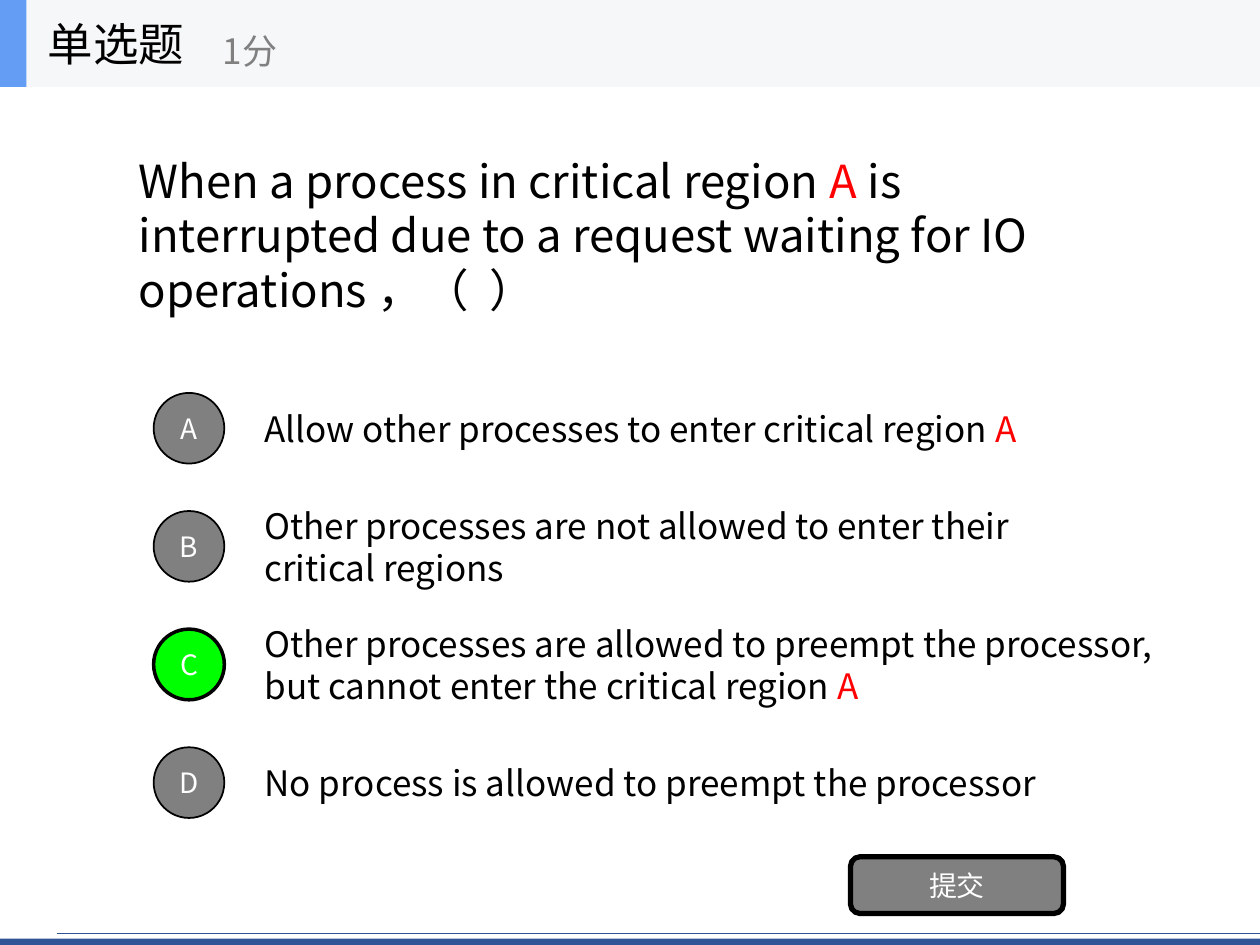
from lxml.etree import SubElement
from pptx import Presentation
from pptx.dml.color import RGBColor
from pptx.enum.shapes import MSO_CONNECTOR as LINE, MSO_SHAPE as SHAPE
from pptx.enum.text import MSO_ANCHOR as ANCHOR, MSO_AUTO_SIZE as FIT, PP_ALIGN as ALIGN
from pptx.oxml.ns import qn
from pptx.util import Pt

FONT = "Noto Sans CJK SC"
BLUE, GRAY, BLACK, RED, WHITE = "2F5597", "808080", "000000", "FF0000", "FFFFFF"


def color(target, value):
    """Colour a fill or a font."""
    if hasattr(target, "solid"):
        target.solid()
        target.fore_color.rgb = RGBColor.from_string(value)
    else:
        target.color.rgb = RGBColor.from_string(value)


def write(box, parts, size, align=ALIGN.LEFT, wrap=True):
    """Fill a box with one paragraph of (text, colour) parts."""
    frame = box.text_frame
    frame.auto_size = FIT.NONE
    frame.word_wrap = wrap
    frame.vertical_anchor = ANCHOR.MIDDLE
    para = frame.paragraphs[0]
    para.alignment = align
    for text, value in parts:
        span = para.add_run()
        span.text = text
        span.font.size = Pt(size)
        span.font.name = FONT
        color(span.font, value)
        SubElement(span.font._element, qn("a:ea"), typeface=FONT)


deck = Presentation()
deck.slide_width, deck.slide_height = Pt(720), Pt(540)
page = deck.slides.add_slide(deck.slide_layouts[5])
shapes = page.shapes

# Question
question = shapes.title
question.left, question.top, question.width, question.height = Pt(72), Pt(49.7), Pt(576), Pt(168.5)
write(question, [("When a process in critical region ", BLACK), ("A", RED),
                 (" is interrupted due to a request waiting for IO operations ，（  ）", BLACK)], 26)

# Frame lines and bands, then the header over them
for left, top in [(0, 8.6), (32.4, 533.5)]:
    rule = shapes.add_connector(LINE.STRAIGHT, Pt(left), Pt(top), Pt(720), Pt(top))
    rule.line.width = Pt(0.5)
    color(rule.line, BLUE)
    SubElement(rule._element.spPr, qn("a:effectLst"))
for top, width, height, fill in [(536.4, 720, 3.6, BLUE), (0, 720, 6.5, BLUE),
                                 (0, 720, 49.7, "F6F7F8"), (0, 15.1, 49.7, "639EF4")]:
    band = shapes.add_shape(SHAPE.RECTANGLE, 0, Pt(top), Pt(width), Pt(height))
    band.shadow.inherit = False
    color(band.fill, fill)
    band.line.fill.background()

# Header labels
for text, left, top, width, height, size, value in [
        ("单选题", 20.2, 0, 149.8, 49.7, 26, BLACK),
        ("1分", 120.2, 8.6, 180, 40.3, 20, GRAY)]:
    label = shapes.add_textbox(Pt(left), Pt(top), Pt(width), Pt(height))
    write(label, [(text, value)], size, wrap=False)

# Options: a text each, and its letter button
options = [
    [("Allow other processes to enter critical region ", BLACK), ("A", RED)],
    [("Other processes are not allowed to enter their critical regions", BLACK)],
    [("Other processes are allowed to preempt the processor, "
      "but cannot enter the critical region ", BLACK), ("A", RED)],
    [("No process is allowed to preempt the processor", BLACK)],
]
answer = "C"
buttons = []
for row, (letter, parts) in enumerate(zip("ABCD", options)):
    top = 219.5 + 67.5 * row
    chosen = letter == answer
    option = shapes.add_textbox(Pt(144), Pt(top), Pt(555 if chosen else 500), Pt(50.4))
    write(option, parts, 20)
    buttons.append((SHAPE.OVAL, 87.8, top + 5, 40.4, 40.4, letter,
                    "00FF00" if chosen else GRAY, 2 if chosen else 1))

# Letter buttons and the submit button
buttons.append((SHAPE.ROUNDED_RECTANGLE, 486, 489.6, 121.7, 32.4, "提交", GRAY, 3))
for kind, left, top, width, height, text, fill, weight in buttons:
    button = shapes.add_shape(kind, Pt(left), Pt(top), Pt(width), Pt(height))
    button.shadow.inherit = False
    color(button.fill, fill)
    color(button.line, BLACK)
    button.line.width = Pt(weight)
    write(button, [(text, WHITE)], 16, ALIGN.CENTER)

deck.save("out.pptx")
